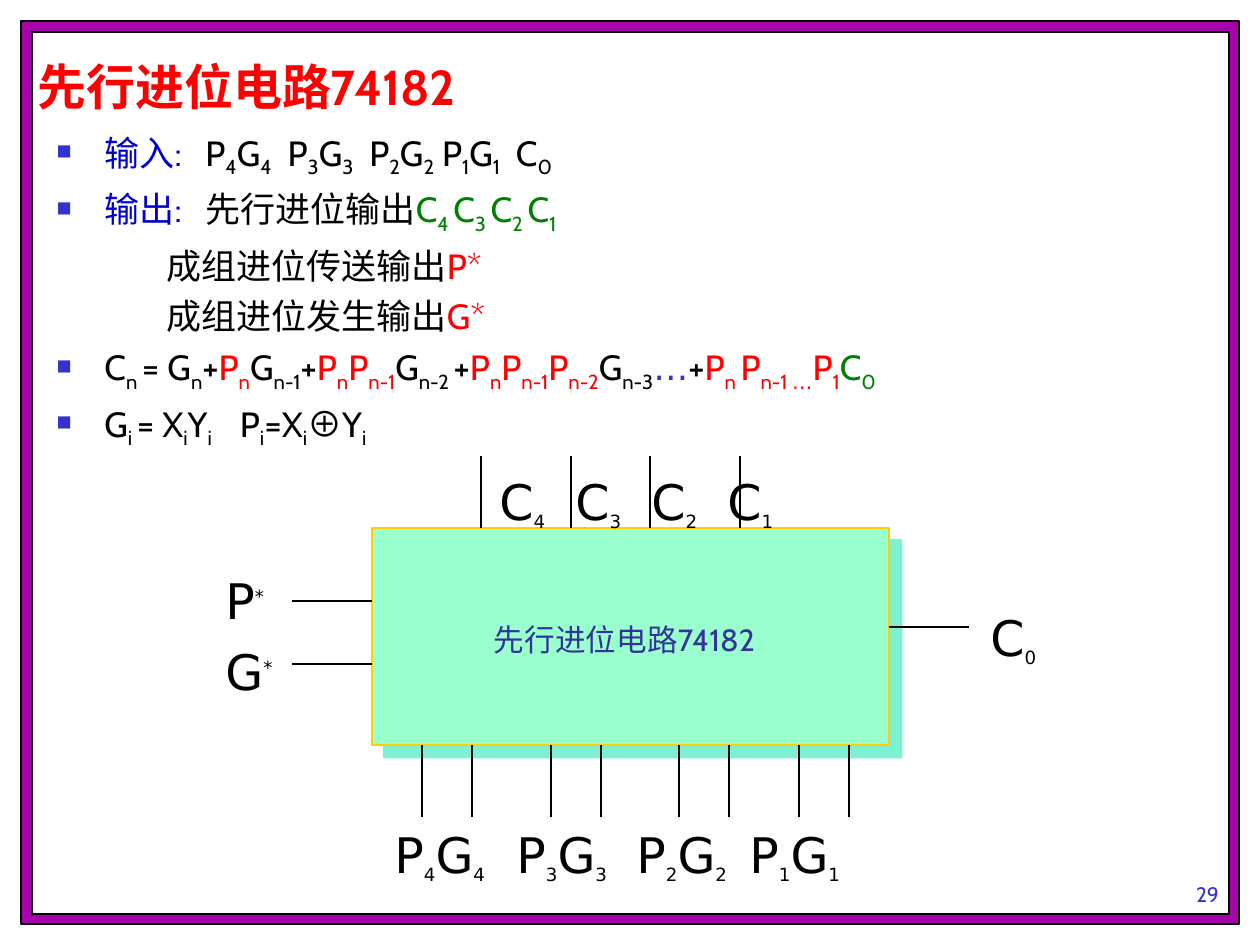
from lxml import etree
from pptx import Presentation
from pptx import util as u
from pptx.dml.color import RGBColor
from pptx.enum import shapes, text
from pptx.oxml.ns import qn

BLACK = RGBColor(0x00, 0x00, 0x00)
WHITE = RGBColor(0xFF, 0xFF, 0xFF)
PURPLE = RGBColor(0xA6, 0x03, 0xAB)
RED = RGBColor(0xFF, 0x00, 0x00)
GREEN = RGBColor(0x00, 0x80, 0x00)
BLUE = RGBColor(0x00, 0x00, 0xCC)
BULLET_BLUE = RGBColor(0x33, 0x33, 0xCC)
CAPTION_BLUE = RGBColor(0x33, 0x33, 0x99)
MINT = RGBColor(0x99, 0xFF, 0xCC)
GOLD = RGBColor(0xFF, 0xCF, 0x01)
SHADOW_GREEN = RGBColor(0x00, 0xE4, 0xA8)

CABIN, DEJAVU, CJK = "Cabin", "DejaVu Sans", "Noto Sans CJK SC"
SYMBOL_FONTS = {"…": DEJAVU, "⊕": CJK}
CHIP_NAME = "先行进位电路74182"
PX_PER_INCH = 126


def px(length):
    return u.Emu(round(length * 914400 / PX_PER_INCH))


def add_xml(parent, tag, **attributes):
    return etree.SubElement(parent, qn(tag), attributes)


class SlideBuilder:
    def __init__(self, slide):
        self.slide = slide

    def rectangle(self, left, top, width, height, fill, line, line_width=0.75):
        shape = self.slide.shapes.add_shape(
            shapes.MSO_SHAPE.RECTANGLE, px(left), px(top), px(width), px(height))
        shape.shadow.inherit = False
        shape.fill.solid()
        shape.fill.fore_color.rgb = fill
        shape.line.color.rgb = line
        shape.line.width = u.Pt(line_width)
        return shape

    def drop_shadow(self, shape, color, distance):
        effects = shape._element.spPr.find(qn("a:effectLst"))
        shadow = add_xml(effects, "a:outerShdw", blurRad="0", dist=str(u.Pt(distance)),
                         dir="2700000", algn="tl", rotWithShape="0")
        srgb = add_xml(shadow, "a:srgbClr", val=str(color))
        add_xml(srgb, "a:alpha", val="50000")

    def line(self, x1, y1, x2, y2):
        connector = self.slide.shapes.add_connector(
            shapes.MSO_CONNECTOR.STRAIGHT, px(x1), px(y1), px(x2), px(y2))
        connector.line.color.rgb = BLACK
        connector.line.width = u.Pt(0.75)
        add_xml(connector._element.spPr, "a:effectLst")

    def text_box(self, left, top, width, height, anchor=text.MSO_ANCHOR.TOP):
        box = self.slide.shapes.add_textbox(px(left), px(top), px(width), px(height))
        box.text_frame.word_wrap = True
        box.text_frame.vertical_anchor = anchor
        return box.text_frame

    def run(self, paragraph, content, color, size, name=CABIN, bold=False,
            baseline=0, spacing=0):
        run = paragraph.add_run()
        run.text = content
        name = SYMBOL_FONTS.get(content, name)
        values = {"name": name, "size": u.Pt(size), "bold": bold}
        for key, value in values.items():
            setattr(run.font, key, value)
        run.font.color.rgb = color
        properties = run._r.get_or_add_rPr()
        add_xml(properties, "a:ea", typeface=SYMBOL_FONTS.get(content, CJK))
        if baseline:
            properties.set("baseline", str(baseline * 1000))
        if spacing:
            properties.set("spc", str(round(spacing * 100)))

    def marked_runs(self, paragraph, content, color, size, shifted_size,
                    name=CABIN, baseline=-25):
        """Write the parts in braces as subscripts, or superscripts for a positive baseline."""
        for index, part in enumerate(content.replace("}", "{").split("{")):
            if part and index % 2:
                self.run(paragraph, part, color, shifted_size, name, baseline=baseline)
            elif part:
                self.run(paragraph, part, color, size, name)

    def caption(self, box, content, color, size, align, bold=False):
        frame = self.text_box(*box, anchor=text.MSO_ANCHOR.BOTTOM)
        frame.paragraphs[0].alignment = align
        self.run(frame.paragraphs[0], content, color, size, bold=bold)

    def pin_label(self, box, content, tabs=(), baseline=-25):
        paragraph = self.text_box(*box).paragraphs[0]
        if tabs:
            tab_list = add_xml(paragraph._p.get_or_add_pPr(), "a:tabLst")
            for position in tabs:
                add_xml(tab_list, "a:tab", pos=str(px(position)), algn="l")
        self.marked_runs(paragraph, content, BLACK, 28, 18, DEJAVU, baseline)

    def body(self, box, lines):
        """Each line is (bulleted, segments); a segment is colour, text and extra gap in points."""
        frame = self.text_box(*box)
        for index, (bulleted, segments) in enumerate(lines):
            paragraph = frame.add_paragraph() if index else frame.paragraphs[0]
            if index:
                paragraph.space_before = u.Pt(5)
            properties = paragraph._p.get_or_add_pPr()
            properties.set("marL", str(px(48 if bulleted else 110)))
            properties.set("indent", str(px(-48 if bulleted else 0)))
            if bulleted:
                add_xml(add_xml(properties, "a:buClr"), "a:srgbClr", val=str(BULLET_BLUE))
                add_xml(properties, "a:buSzPct", val="60000")
                add_xml(properties, "a:buChar", char="■")
            for color, content, *gap in segments:
                self.marked_runs(paragraph, content, color, 20, 20)
                if gap:
                    self.run(paragraph, " ", color, 20, spacing=gap[0])


BODY_LINES = [
    (True, [(BLUE, "输入:", 9), (BLACK, "P{4}G{4}", 4.5), (BLACK, "P{3}G{3}", 4.5),
            (BLACK, "P{2}G{2} P{1}G{1}", 4.5), (BLACK, "C{0}")]),
    (True, [(BLUE, "输出:", 9), (BLACK, "先行进位输出"), (GREEN, "C{4 }C{3 }C{2 }C{1}")]),
    (False, [(BLACK, "成组进位传送输出"), (RED, "P*")]),
    (False, [(BLACK, "成组进位发生输出"), (RED, "G*")]),
    (True, [(BLACK, "C{n }= G{n}+"), (RED, "P{n}"), (BLACK, "G{n-1}+"),
            (RED, "P{n}P{n-1}"), (BLACK, "G{n-2 }+"), (RED, "P{n}P{n-1}P{n-2}"),
            (BLACK, "G{n-3}"), (BULLET_BLUE, "…"), (BLACK, "+"),
            (RED, "P{n }P{n-1 }{…}P{1}"), (GREEN, "C{0}")]),
    (True, [(BLACK, "G{i }= X{i}Y{i}", 11.5), (BLACK, "P{i}=X{i}"), (BLACK, "⊕"),
            (BLACK, "Y{i}")]),
]


def draw_chip(builder):
    left, top, width, height = 372, 528, 517, 217
    right, bottom = left + width, top + height
    stem, side_stem = 72, 80

    chip = builder.rectangle(left, top, width, height, MINT, GOLD, 1.5)
    builder.drop_shadow(chip, SHADOW_GREEN, 9.9)
    builder.caption((362, 610, 525, 54), CHIP_NAME, CAPTION_BLUE, 17.5, text.PP_ALIGN.CENTER)

    for x in (481, 571, 650, 740):
        builder.line(x, top - stem, x, top)
    for pair_x in (422, 551, 679, 799):
        for x in (pair_x, pair_x + 50):
            builder.line(x, bottom, x, bottom + stem)
    for y in (601, 664):
        builder.line(left - side_stem, y, left, y)
    builder.line(right, 627, right + side_stem, 627)

    builder.pin_label((471, 465, 576, 73), "\tC{4}\tC{3}\tC{2}\tC{1}",
                      [16 + 76 * i for i in range(4)])
    builder.pin_label((382, 818, 576, 73), "P{4}G{4}\tP{3}G{3}\tP{2}G{2}\tP{1}G{1}",
                      (122, 242, 355))
    builder.pin_label((978, 601, 100, 73), "C{0}")
    for name, y in (("P{*}", 564), ("G{*}", 635)):
        builder.pin_label((213, y, 100, 72), name, baseline=50)


def main():
    presentation = Presentation()
    presentation.slide_width, presentation.slide_height = px(1260), px(945)
    builder = SlideBuilder(presentation.slides.add_slide(presentation.slide_layouts[6]))
    builder.rectangle(21, 21, 1218, 903, PURPLE, BLACK)
    builder.rectangle(32, 32, 1197, 882, WHITE, BLACK)
    builder.caption((1092, 850, 231, 63), "29", BULLET_BLUE, 12, text.PP_ALIGN.CENTER)
    builder.caption((25, 45, 1155, 77), CHIP_NAME, RED, 28, text.PP_ALIGN.LEFT, bold=True)
    builder.body((44, 125, 1176, 567), BODY_LINES)
    draw_chip(builder)
    presentation.save("out.pptx")


if __name__ == "__main__":
    main()
